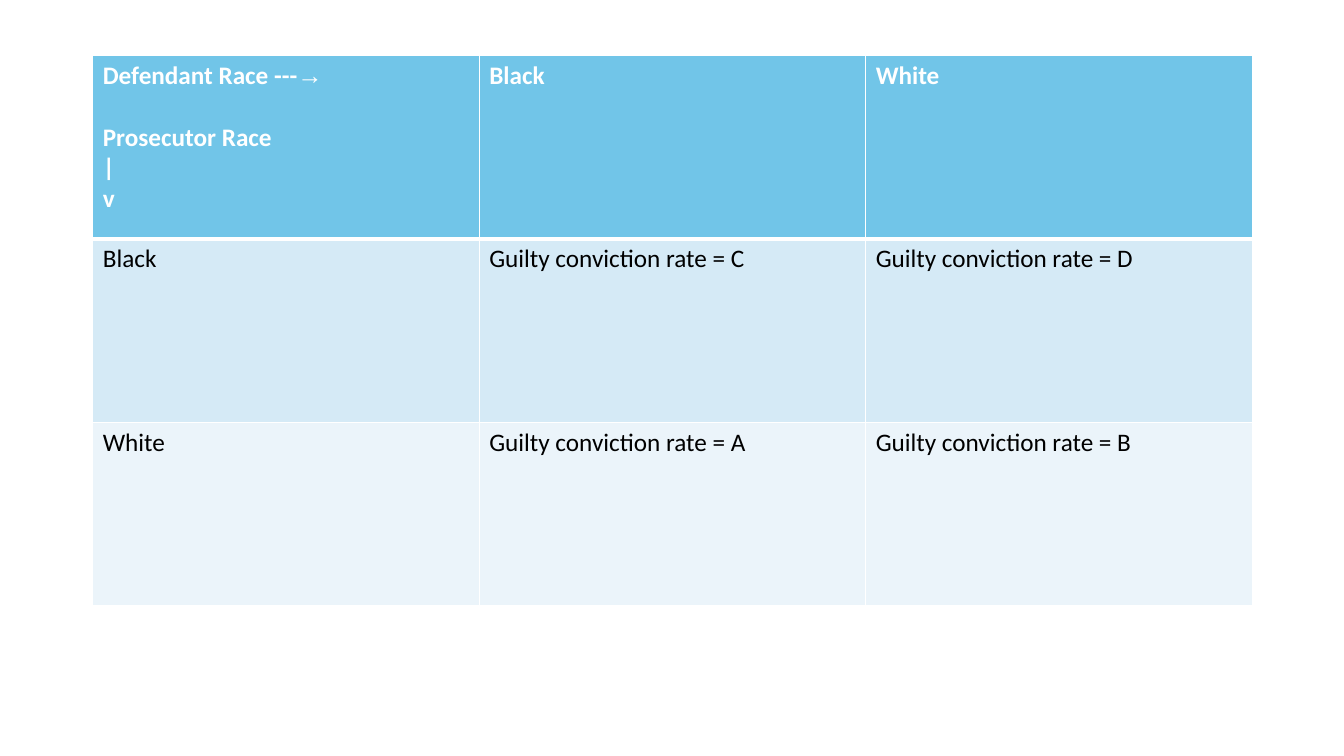
from dataclasses import dataclass

from lxml.etree import SubElement
from pptx import Presentation
from pptx.dml.color import RGBColor
from pptx.oxml.ns import qn
from pptx.table import _Cell
from pptx.util import Inches, Pt


@dataclass(frozen=True)
class Theme:
    head: str = "71C5E8"
    bands: tuple[str, ...] = ("D5EAF6", "EBF4FA")
    light: str = "FFFFFF"
    dark: str = "000000"
    font: str = "Calibri"
    arrow: str = "Arial"
    size: float = 18
    gap: float = 22
    thin: float = 0.96
    thick: float = 3


@dataclass(frozen=True)
class Run:
    text: str
    font: str


@dataclass(frozen=True)
class Line:
    runs: tuple[Run, ...]
    before: float = 0


@dataclass(frozen=True)
class Look:
    fill: str
    ink: str
    bold: bool
    top: float
    base: float


THEME = Theme()


def plain(text: str, before: float = 0) -> Line:
    return Line((Run(text, THEME.font),), before)


def draw_edge(cell: _Cell, side: str, width: float) -> None:
    edge = SubElement(cell._tc.get_or_add_tcPr(), qn(f"a:ln{side}"), w=str(int(Pt(width))))
    fill = SubElement(edge, qn("a:solidFill"))
    SubElement(fill, qn("a:srgbClr"), val=THEME.light)


def draw_cell(cell: _Cell, lines: tuple[Line, ...], look: Look) -> None:
    # Borders come ahead of the fill in the cell's XML
    edges = {"L": THEME.thin, "R": THEME.thin, "T": look.top, "B": look.base}
    for side, width in edges.items():
        draw_edge(cell, side, width)
    cell.fill.solid()
    cell.fill.fore_color.rgb = RGBColor.from_string(look.fill)

    # Text, run by run
    frame = cell.text_frame
    for i, line in enumerate(lines):
        para = frame.add_paragraph() if i else frame.paragraphs[0]
        if line.before:
            para.space_before = Pt(line.before)
        for part in line.runs:
            run = para.add_run()
            run.text = part.text
            run.font.name = part.font
            run.font.size = Pt(THEME.size)
            run.font.bold = look.bold
            run.font.color.rgb = RGBColor.from_string(look.ink)


def get_look(row: int) -> Look:
    if row == 0:
        return Look(THEME.head, THEME.light, True, THEME.thin, THEME.thick)
    top = THEME.thick if row == 1 else THEME.thin
    band = THEME.bands[(row - 1) % len(THEME.bands)]
    return Look(band, THEME.dark, False, top, THEME.thin)


def main() -> None:
    deck = Presentation()
    deck.slide_width, deck.slide_height = Inches(13.33), Inches(7.5)
    slide = deck.slides.add_slide(deck.slide_layouts[6])

    # Table content: defendant race across, prosecutor race down
    races = ("Black", "White")
    rates = {"Black": ("C", "D"), "White": ("A", "B")}
    corner = (
        Line((Run("Defendant Race ---", THEME.font), Run("→", THEME.arrow))),
        plain("Prosecutor Race", THEME.gap),
        plain("|"),
        plain("v"),
    )
    rows = [[corner, *((plain(race),) for race in races)]]
    for race in races:
        cells = ((plain(f"Guilty conviction rate = {rate}"),) for rate in rates[race])
        rows.append([(plain(race),), *cells])

    # Table grid
    grid = slide.shapes.add_table(
        len(rows), len(rows[0]), Inches(0.92), Inches(0.55), Inches(11.5), Inches(5.46)
    ).table
    grid.horz_banding = False
    for r, row in enumerate(rows):
        for c, lines in enumerate(row):
            draw_cell(grid.cell(r, c), lines, get_look(r))

    deck.save("out.pptx")


if __name__ == "__main__":
    main()
